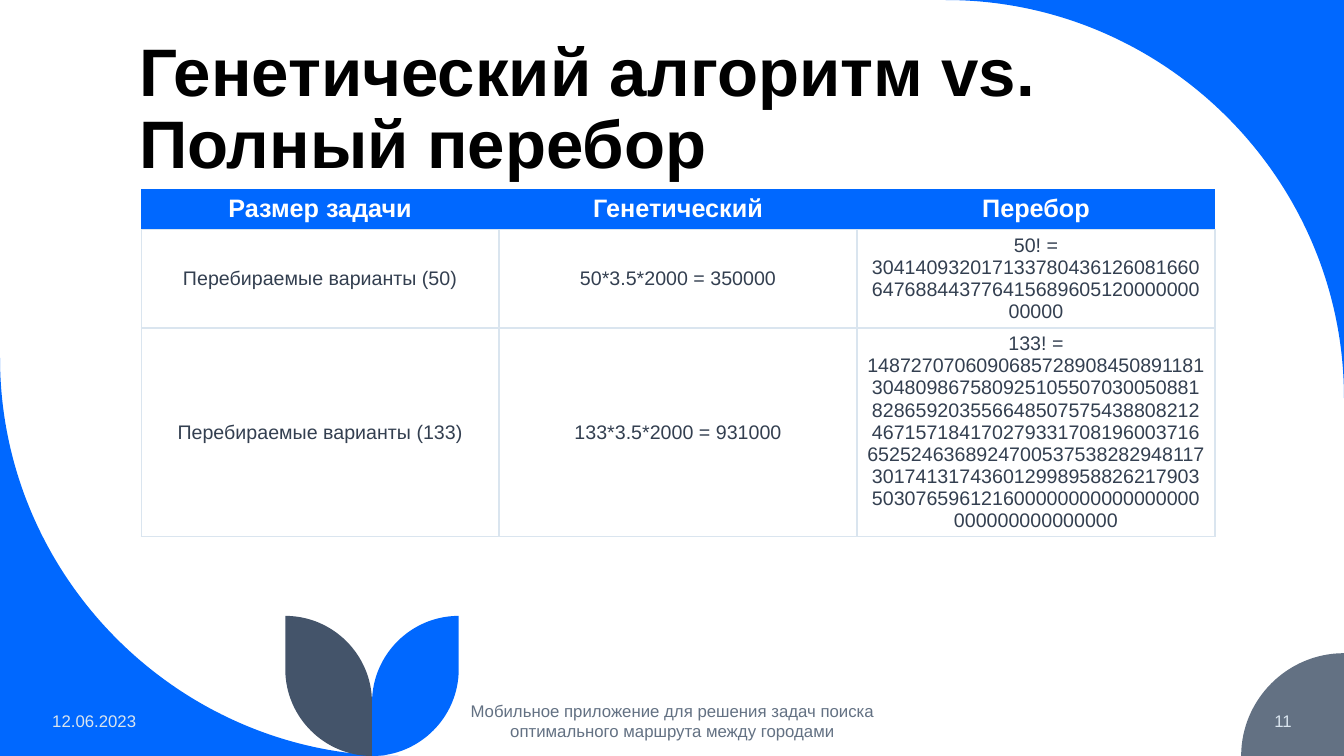
from lxml import etree
from pptx import Presentation
from pptx.dml.color import RGBColor
from pptx.enum.text import MSO_ANCHOR, MSO_AUTO_SIZE, PP_ALIGN
from pptx.oxml.ns import qn
from pptx.util import Inches, Pt

LEFT, CENTER, RIGHT = PP_ALIGN.LEFT, PP_ALIGN.CENTER, PP_ALIGN.RIGHT
MIDDLE, BOTTOM = MSO_ANCHOR.MIDDLE, MSO_ANCHOR.BOTTOM
NO_FIT = MSO_AUTO_SIZE.NONE

BLUE = RGBColor(0x00, 0x68, 0xFF)
SLATE = RGBColor(0x44, 0x54, 0x6A)
GRAY = RGBColor(0x63, 0x71, 0x83)
PALE = RGBColor(0xDA, 0xE5, 0xEF)
INK = RGBColor(0x33, 0x3F, 0x50)
BLACK = RGBColor(0, 0, 0)
WHITE = RGBColor(0xFF, 0xFF, 0xFF)

WIDE, HIGH = 13.33, 7.5
BEND = 0.55  # how far a quarter circle's handles reach towards its corner
TITLE = "Генетический алгоритм vs.\vПолный перебор"
FOOTER = "Мобильное приложение для решения задач поиска оптимального маршрута между городами"
ROWS = [
    ("Размер задачи", "Генетический", "Перебор"),
    ("Перебираемые варианты (50)", "50*3.5*2000 = 350000",
     "50! = 30414093201713378043612608166064768844377641568960512000000000000"),
    ("Перебираемые варианты (133)", "133*3.5*2000 = 931000",
     "133! = 148727070609068572890845089118130480986758092510550703005088"
     "1828659203556648507575438808212467157184170279331708196003716652524"
     "6368924700537538282948117301741317436012998958826217903503076596121"
     "600000000000000000000000000000000"),
]


def write(frame, text, size=12, color=INK, bold=False, align=LEFT, anchor=MIDDLE, spacing=None):
    frame.word_wrap = True
    frame.vertical_anchor = anchor
    para = frame.paragraphs[0]
    para.text = text
    para.alignment = align
    if spacing:
        para.line_spacing = spacing
    for run in para.runs:
        font = run.font
        font.name, font.size, font.bold = "Arial", Pt(size), bold
        font.color.rgb = color


def toward(point, corner):
    return tuple(p + BEND * (c - p) for p, c in zip(point, corner))


def draw(shapes, color, start, *steps):
    """Each step is (end,) for a line or (corner, end) for a quarter circle."""
    points, curves, here = [], [], start
    for *corner, end in steps:
        if corner:
            curves.append(len(points))
            points += [toward(here, corner[0]), toward(end, corner[0])]
        points.append(end)
        here = end
    pen = shapes.build_freeform(Inches(start[0]), Inches(start[1]))
    pen.add_line_segments([(Inches(x), Inches(y)) for x, y in points], close=True)
    shape = pen.convert_to_shape()
    lines = list(shape._element.iter(qn("a:lnTo")))
    for first in curves:
        curve = etree.Element(qn("a:cubicBezTo"))
        lines[first].addprevious(curve)
        for line in lines[first:first + 3]:
            curve.append(line[0])
            line.getparent().remove(line)
    shape.shadow.inherit = False
    shape.fill.solid()
    shape.fill.fore_color.rgb = color
    shape.line.fill.background()


def add_corners(slide, width, height):
    big, small = 3.95, 1.02
    x, y = width - small, height - small
    top, low, end = (width, 0), (0, height), (width, height)
    draw(slide.shapes, BLUE, (width - big, 0), (top, (width, big)), (top,))
    draw(slide.shapes, BLUE, (0, height - big), (low, (big, height)), (low,))
    draw(slide.shapes, GRAY, (x, height), ((x, y), (width, y)), (end,))


def add_leaves(slide, left, top, width, height):
    size = width / 2
    mid, base = left + size, top + height
    pair = slide.shapes.add_group_shape()
    for edge, color in ((left + width, BLUE), (left, SLATE)):
        tip = (edge, top)
        draw(pair.shapes, color, tip, ((edge, base - size),), ((edge, base), (mid, base)),
             ((mid, top + size),), ((mid, top), tip))


def add_title(slide, left, top, width, height):
    title = slide.shapes.title
    title.left, title.top = Inches(left), Inches(top)
    title.width, title.height = Inches(width), Inches(height)
    title.text_frame.auto_size = NO_FIT
    write(title.text_frame, TITLE, size=48, color=BLACK, bold=True, anchor=BOTTOM, spacing=0.9)


def add_footer(slide, left, top, width, height):
    parts = (
        (0, 1.93, "12.06.2023", PALE, LEFT),
        (4, 4.5, FOOTER, GRAY, CENTER),
        (width - 1.81, 1.81, "11", PALE, RIGHT),
    )
    for shift, span, text, color, align in parts:
        box = slide.shapes.add_textbox(Inches(left + shift), Inches(top), Inches(span), Inches(height))
        write(box.text_frame, text, color=color, align=align)


def set_edges(cell, sides):
    props = cell._tc.get_or_add_tcPr()
    for side in "LRTB":
        line = etree.SubElement(props, qn(f"a:ln{side}"), w=str(Pt(1)))
        if side in sides:
            fill = etree.SubElement(line, qn("a:solidFill"))
            etree.SubElement(fill, qn("a:srgbClr"), val=str(PALE))
        else:
            etree.SubElement(line, qn("a:noFill"))


def add_grid(slide, left, top, width, height):
    count = len(ROWS[0])
    frame = slide.shapes.add_table(len(ROWS), count, Inches(left), Inches(top),
                                   Inches(width), Inches(height))
    table = frame.table
    table.first_row = table.horz_banding = False
    for col in table.columns:
        col.width = Inches(width / count)
    for r, texts in enumerate(ROWS):
        table.rows[r].height = Inches(0.41)
        head = r == 0
        for c, text in enumerate(texts):
            cell = table.cell(r, c)
            set_edges(cell, "B" if head else "LRTB")
            cell.fill.solid()
            cell.fill.fore_color.rgb = BLUE if head else WHITE
            cell.vertical_anchor = MIDDLE
            write(cell.text_frame, text, size=18 if head else 14,
                  color=WHITE if head else INK, bold=head, align=CENTER, anchor=None)
    frame.height = Inches(height)


def main():
    deck = Presentation()
    deck.slide_width, deck.slide_height = Inches(WIDE), Inches(HIGH)
    slide = deck.slides.add_slide(deck.slide_layouts[5])

    # Background shapes
    add_corners(slide, WIDE, HIGH)
    add_leaves(slide, 2.83, 6.11, 1.72, 1.39)

    # Content
    add_title(slide, 1.28, 0.42, 10.69, 1.45)
    add_grid(slide, 1.4, 1.87, 10.65, 3.64)

    # Date, footer and page number
    add_footer(slide, 0.42, 6.95, 12.49, 0.4)
    deck.save("out.pptx")


if __name__ == "__main__":
    main()
